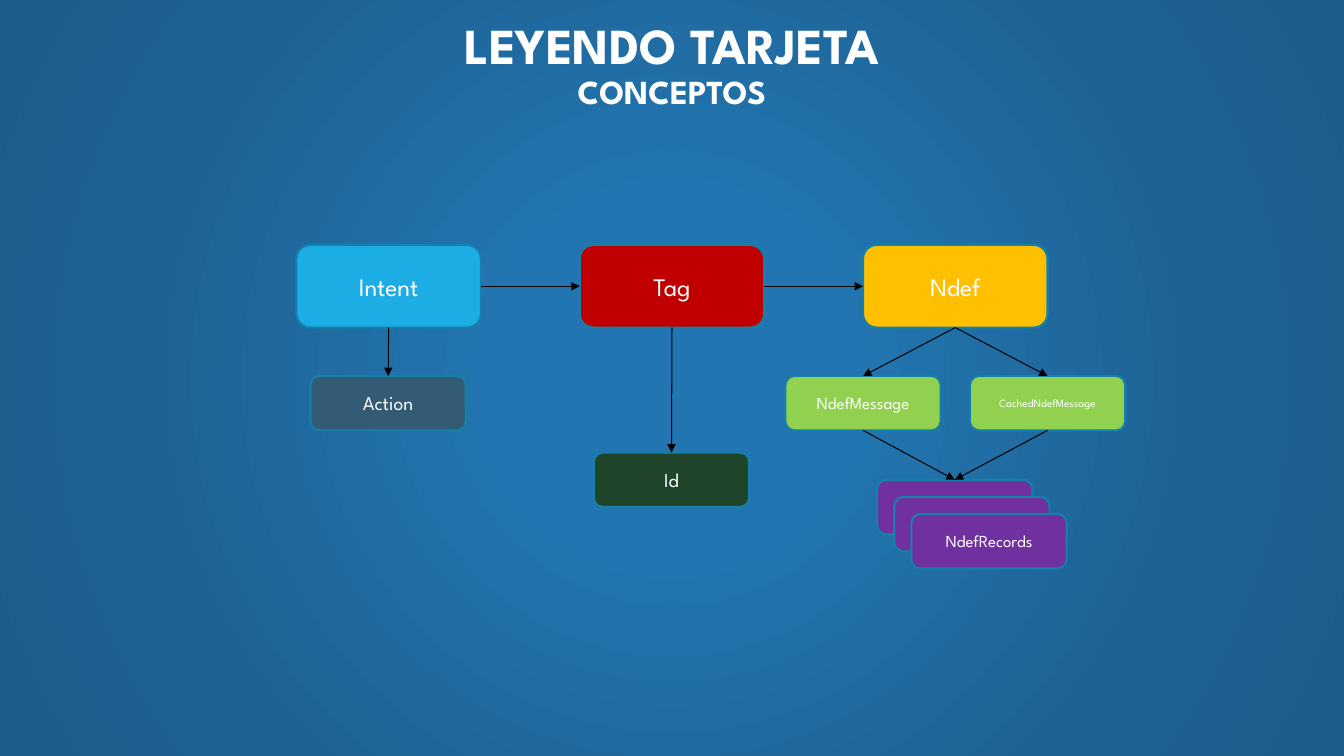
"""Draw the concept diagram for reading an NFC card."""
import dataclasses
import typing

import lxml.etree
import pptx
import pptx.dml.color
import pptx.enum.shapes
import pptx.enum.text
import pptx.oxml
import pptx.oxml.ns
import pptx.util

PX = 9144
SLIDE_WIDTH, SLIDE_HEIGHT = 1333, 750
TOP, LEFT, BOTTOM, RIGHT = range(4)
MAIN_SIZE = (183, 82)
DETAIL_SIZE = (154, 54)
MAIN_TOP, DETAIL_TOP, ID_TOP, RECORDS_TOP = 243, 373, 449, 476
INTENT_LEFT, MAIN_STEP = 294, 281
RECORDS_LEFT, RECORD_STEP = 870, 17


@dataclasses.dataclass(frozen=True)
class Theme:
    """Hold the colours and type sizes of the slide."""
    font: str = "League Spartan"
    text: str = "FFFFFF"
    outline: str = "1580A9"
    arrow: str = "000000"
    intent: str = "1CADE4"
    action: str = "335B74"
    tag: str = "C00000"
    identifier: str = "1F442A"
    ndef: str = "FFC000"
    message: str = "92D050"
    record: str = "7030A0"
    backdrop: tuple[tuple[int, str], ...] = (
        (0, "2275B0"), (23, "2275B0"), (69, "1D6294"), (97, "1B5C8B"))
    title_size: int = 36
    subtitle_size: int = 24
    main_size: int = 18
    detail_size: int = 14
    message_size: int = 12
    cached_size: int = 8


THEME = Theme()


class Concept(typing.NamedTuple):
    """Describe one rounded box."""
    key: str
    label: str
    left: int
    top: int
    size: tuple[int, int]
    fill: str
    type_size: int


class Link(typing.NamedTuple):
    """Describe one arrow between two concepts."""
    source: str
    source_side: int
    target: str
    target_side: int


def main_left(column: int) -> int:
    """Return the left edge of a main concept."""
    return INTENT_LEFT + column * MAIN_STEP


def centred_left(column: int) -> int:
    """Return the left edge of a detail centred under a main concept."""
    return main_left(column) + (MAIN_SIZE[0] - DETAIL_SIZE[0]) // 2


CONCEPTS = [
    *(Concept(label, label, main_left(column), MAIN_TOP, MAIN_SIZE, fill, THEME.main_size)
      for column, (label, fill) in enumerate(
          [("Intent", THEME.intent), ("Tag", THEME.tag), ("Ndef", THEME.ndef)])),
    Concept("Action", "Action", centred_left(0), DETAIL_TOP, DETAIL_SIZE,
            THEME.action, THEME.detail_size),
    Concept("Id", "Id", centred_left(1), ID_TOP, DETAIL_SIZE,
            THEME.identifier, THEME.detail_size),
    Concept("Message", "NdefMessage", 779, DETAIL_TOP, DETAIL_SIZE,
            THEME.message, THEME.message_size),
    Concept("Cached", "CachedNdefMessage", 962, DETAIL_TOP, DETAIL_SIZE,
            THEME.message, THEME.cached_size),
    *(Concept(f"Record{depth}", label, RECORDS_LEFT + depth * RECORD_STEP,
              RECORDS_TOP + depth * RECORD_STEP, DETAIL_SIZE,
              THEME.record, THEME.message_size)
      for depth, label in enumerate(["", "", "NdefRecords"])),
]

LINKS = [
    Link("Intent", RIGHT, "Tag", LEFT),
    Link("Tag", RIGHT, "Ndef", LEFT),
    Link("Intent", BOTTOM, "Action", TOP),
    Link("Tag", BOTTOM, "Id", TOP),
    Link("Ndef", BOTTOM, "Message", TOP),
    Link("Ndef", BOTTOM, "Cached", TOP),
    Link("Message", BOTTOM, "Record0", TOP),
    Link("Cached", BOTTOM, "Record0", TOP),
]


def rgb(value: str) -> pptx.dml.color.RGBColor:
    """Turn a hex string into a colour."""
    return pptx.dml.color.RGBColor.from_string(value)


def apply_format(target: typing.Any, values: dict[str, typing.Any]) -> None:
    """Set each named attribute on the target."""
    for name, value in values.items():
        setattr(target, name, value)


def format_font(font: typing.Any, size: int, bold: bool = False) -> None:
    """Give a font the theme's face and colour."""
    apply_format(font, {"name": THEME.font, "size": pptx.util.Pt(size), "bold": bold})
    font.color.rgb = rgb(THEME.text)


def paint_backdrop(slide: typing.Any) -> None:
    """Fill the background with a circular gradient."""
    slide.background.fill.gradient()
    gradient = slide.element.find(".//" + pptx.oxml.ns.qn("a:gradFill"))
    stops = "".join(f'<a:gs pos="{position * 1000}"><a:srgbClr val="{colour}"/></a:gs>'
                    for position, colour in THEME.backdrop)
    circular = pptx.oxml.parse_xml(
        f'<a:gradFill {pptx.oxml.ns.nsdecls("a")} rotWithShape="1"><a:gsLst>{stops}</a:gsLst>'
        '<a:path path="circle"><a:fillToRect l="50000" t="50000" r="50000" b="50000"/>'
        '</a:path></a:gradFill>')
    gradient.getparent().replace(gradient, circular)


def write_title(slide: typing.Any) -> None:
    """Write the heading and its second line in the title placeholder."""
    title = slide.shapes.title
    apply_format(title, {"left": 0, "top": 0, "width": SLIDE_WIDTH * PX, "height": 131 * PX})
    apply_format(title.text_frame, {
        "word_wrap": True,
        "auto_size": pptx.enum.text.MSO_AUTO_SIZE.NONE,
        "vertical_anchor": pptx.enum.text.MSO_ANCHOR.MIDDLE})
    paragraph = title.text_frame.paragraphs[0]
    apply_format(paragraph, {"alignment": pptx.enum.text.PP_ALIGN.CENTER, "line_spacing": 0.9})
    heading = paragraph.add_run()
    heading.text = "LEYENDO TARJETA"
    format_font(heading.font, THEME.title_size, True)
    paragraph.add_line_break()
    subheading = paragraph.add_run()
    subheading.text = "CONCEPTOS"
    format_font(subheading.font, THEME.subtitle_size, True)


def draw_concept(slide: typing.Any, concept: Concept) -> typing.Any:
    """Draw a rounded box with its label."""
    width, height = concept.size
    box = slide.shapes.add_shape(
        pptx.enum.shapes.MSO_SHAPE.ROUNDED_RECTANGLE,
        concept.left * PX, concept.top * PX, width * PX, height * PX)
    box.shadow.inherit = False
    box.fill.solid()
    box.fill.fore_color.rgb = rgb(concept.fill)
    box.line.color.rgb = rgb(THEME.outline)
    box.line.width = pptx.util.Pt(1.5)
    if concept.label:
        box.text_frame.vertical_anchor = pptx.enum.text.MSO_ANCHOR.MIDDLE
        paragraph = box.text_frame.paragraphs[0]
        paragraph.alignment = pptx.enum.text.PP_ALIGN.CENTER
        label = paragraph.add_run()
        label.text = concept.label
        format_font(label.font, concept.type_size)
    return box


def draw_link(slide: typing.Any, link: Link, boxes: dict[str, typing.Any]) -> None:
    """Join two boxes with an arrow."""
    arrow = slide.shapes.add_connector(pptx.enum.shapes.MSO_CONNECTOR.STRAIGHT, 0, 0, 0, 0)
    arrow.begin_connect(boxes[link.source], link.source_side)
    arrow.end_connect(boxes[link.target], link.target_side)
    arrow.line.color.rgb = rgb(THEME.arrow)
    arrow.line.width = pptx.util.Pt(0.75)
    properties = arrow.element.spPr
    stroke = properties.find(pptx.oxml.ns.qn("a:ln"))
    lxml.etree.SubElement(stroke, pptx.oxml.ns.qn("a:tailEnd"), type="triangle")
    lxml.etree.SubElement(properties, pptx.oxml.ns.qn("a:effectLst"))


def main() -> None:
    """Build and save the slide."""
    deck = pptx.Presentation()
    apply_format(deck, {"slide_width": SLIDE_WIDTH * PX, "slide_height": SLIDE_HEIGHT * PX})
    slide = deck.slides.add_slide(deck.slide_layouts.get_by_name("Title Only"))
    paint_backdrop(slide)
    write_title(slide)
    boxes = {concept.key: draw_concept(slide, concept) for concept in CONCEPTS}
    for link in LINKS:
        draw_link(slide, link, boxes)
    deck.save("out.pptx")


if __name__ == "__main__":
    main()
